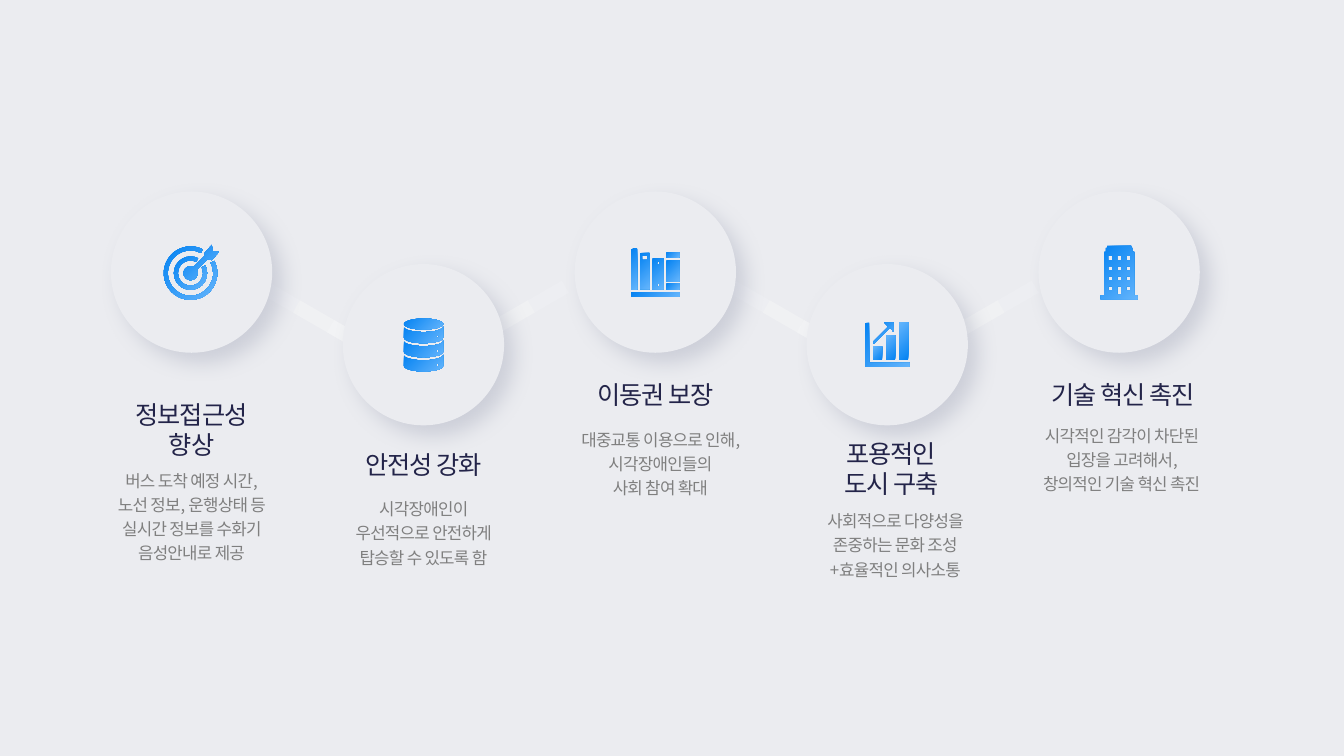
import math
import pptx
import pptx.util
import pptx.dml.color
import pptx.enum.shapes
import pptx.enum.text
import pptx.oxml
import pptx.oxml.ns

FONT = "Noto Sans CJK KR"
PALE, WHITE = "EBECF0", "F2F3F5"
DEEP, SKY = "0583F2", "64B5FC"

# Heading lines, heading box (left, top, width), wrap; body lines, body box
STEPS = [
    (["정보접근성", "향상"], (1.1, 3.96, 1.6), True,
     ["버스 도착 예정 시간,", "노선 정보, 운행상태 등 실시간 정보를 수화기 음성안내로 제공"],
     (1.1, 4.63, 1.6)),
    (["안전성 강화"], (3.57, 4.46, 1.26), False,
     ["시각장애인이 우선적으로 안전하게 탑승할 수 있도록 함"], (3.4, 4.91, 1.6)),
    (["이동권 보장"], (5.76, 3.76, 1.48), True,
     ["대중교통 이용으로 인해, 시각장애인들의", "사회 참여 확대"], (5.66, 4.22, 1.78)),
    (["포용적인", "도시 구축"], (8.33, 4.35, 1.02), False,
     ["사회적으로 다양성을 존중하는 문화 조성", "+효율적인 의사소통"], (8.14, 5.03, 1.48)),
    (["기술 혁신 촉진"], (10.36, 3.76, 1.56), False,
     ["시각적인 감각이 차단된 입장을 고려해서, 창의적인 기술 혁신 촉진"],
     (10.33, 4.18, 1.59)),
]
HEAD = dict(size=18, color="232449", track=-70, line=None)
BODY = dict(size=12, color="7F7F7F", track=-50, line=1.2)

inch = pptx.util.Inches
kinds = pptx.enum.shapes.MSO_SHAPE

deck = pptx.Presentation()
deck.slide_width, deck.slide_height = inch(13.33), inch(7.5)
slide = deck.slides.add_slide(deck.slide_layouts[6])
slide.background.fill.solid()


def rgb(code):
    return pptx.dml.color.RGBColor.from_string(code)


slide.background.fill.fore_color.rgb = rgb(PALE)


def blend(shape, first, last, angle):
    shape.shadow.inherit = False
    shape.line.fill.background()
    shape.fill.gradient()
    shape.fill.gradient_angle = angle
    for stop, code in zip(shape.fill.gradient_stops, (first, last)):
        stop.color.rgb = rgb(code)


def text(lines, box, wrap, style):
    height = len(lines) * style["size"] / 60
    shape = slide.shapes.add_textbox(*map(inch, (*box, height)))
    frame = shape.text_frame
    form = dict(word_wrap=wrap, margin_left=0, margin_right=0, margin_top=0, margin_bottom=0,
                auto_size=pptx.enum.text.MSO_AUTO_SIZE.SHAPE_TO_FIT_TEXT)
    for name, value in form.items():
        setattr(frame, name, value)
    for at, line in enumerate(lines):
        para = frame.paragraphs[0] if at == 0 else frame.add_paragraph()
        para.alignment = pptx.enum.text.PP_ALIGN.CENTER
        para.line_spacing = style["line"]
        run = para.add_run()
        run.text = line
        look = dict(size=pptx.util.Pt(style["size"]), name=FONT)
        for name, value in look.items():
            setattr(run.font, name, value)
        run.font.color.rgb = rgb(style["color"])
        props = run.font._element
        props.set("spc", str(style["track"]))
        east = props.makeelement(pptx.oxml.ns.qn("a:ea"), {"typeface": FONT})
        props.find(pptx.oxml.ns.qn("a:latin")).addnext(east)


# Icon parts, in inches: presets by edges, outlines by points
def part(kind, left, top, right, bottom, turn=0):
    shape = slide.shapes.add_shape(kind, *map(inch, (left, top, right - left, bottom - top)))
    shape.rotation = turn
    blend(shape, DEEP, SKY, 315)
    return shape


def arc(x, y, rx, ry, start, end, count=10):
    turns = [math.radians(start + (end - start) * n / count) for n in range(count + 1)]
    return [(x + rx * math.cos(t), y + ry * math.sin(t)) for t in turns]


def dot(x, y):
    return arc(x, y, 0.015, 0.015, 0, 300, 5)


def rect(left, top, right, bottom):
    return [(left, top), (right, top), (right, bottom), (left, bottom)]


def draw(*loops):
    grid = [[(x * 1000, y * 1000) for x, y in loop] for loop in loops]
    pen = slide.shapes.build_freeform(*grid[0][0], scale=914.4)
    for n, loop in enumerate(grid):
        if n:
            pen.move_to(*loop[0])
        pen.add_line_segments(loop[1:], close=True)
    blend(pen.convert_to_shape(), DEEP, SKY, 315)


# Links between neighbouring circles
for n in (3, 1, 2, 0):
    link = slide.shapes.add_shape(kinds.ROUNDED_RECTANGLE, inch(2.22 + 2.33 * n), inch(2.97),
                                  inch(1.44), inch(0.14))
    blend(link, PALE, WHITE, 0)
    link.rotation = 330 if n % 2 else 30
    if n % 2:
        link._element.spPr.xfrm.set("flipH", "1")

# Circles with a soft shadow
SHADE = ('<a:outerShdw %s blurRad="190500" dist="127000" dir="2700000" algn="tl" '
         'rotWithShape="0"><a:srgbClr val="ACB0C0"><a:alpha val="47000"/></a:srgbClr>'
         '</a:outerShdw>' % pptx.oxml.ns.nsdecls("a"))
for n in range(len(STEPS)):
    disc = slide.shapes.add_shape(kinds.OVAL, inch(1.1 + 2.3 * n), inch(1.9 + 0.72 * (n % 2)),
                                  inch(1.6), inch(1.6))
    disc.fill.solid()
    disc.fill.fore_color.rgb = rgb(PALE)
    disc.line.fill.background()
    disc.shadow.inherit = False
    glow = disc._element.spPr.find(pptx.oxml.ns.qn("a:effectLst"))
    glow.append(pptx.oxml.parse_xml(SHADE))

for head, spot, wrap, body, place in STEPS:
    text(head, spot, wrap, HEAD)
    text(body, place, True, BODY)

# Target: dart with hub, then two open rings
X, Y = 1.89, 2.71
draw([(2.11, 2.49), (2.1, 2.43), (2.03, 2.51), (2.03, 2.54)]
     + arc(X, Y, 0.07, 0.07, 297, -27, 16)
     + [(2.06, 2.57), (2.1, 2.58), (2.17, 2.5)])
for far in (0.265, 0.165):
    ring = part(kinds.BLOCK_ARC, X - far, Y - far, X + far, Y + far)
    # Angles are stored in 60000ths of a degree, adjustments in 100000ths
    for n, value in enumerate((333 * 0.6, 297 * 0.6, 0.02 / far)):
        ring.adjustments[n] = value

# Database: lid and three drums
MID, WIDE, TALL = 4.2, 0.195, 0.055
part(kinds.OVAL, MID - WIDE, 3.16, MID + WIDE, 3.27)
for n in range(3):
    top = 3.24 + 0.14 * n
    draw(arc(MID, top, WIDE, TALL, 180, 0) + arc(MID, top + 0.11, WIDE, TALL, 0, 180),
         dot(4.34, top + 0.1))

# Books on a shelf
for box in ((6.26, 2.9, 6.74, 2.94), (6.26, 2.47, 6.32, 2.87), (6.61, 2.81, 6.74, 2.87),
            (6.61, 2.58, 6.74, 2.79), (6.61, 2.5, 6.74, 2.55)):
    part(kinds.RECTANGLE, *box)
draw(rect(6.47, 2.56, 6.58, 2.87), dot(6.53, 2.61), dot(6.53, 2.83))
draw(rect(6.35, 2.51, 6.44, 2.87), rect(6.37, 2.54, 6.42, 2.58))

# Growth chart: axes, bars, arrow
draw([(8.62, 3.2), (8.58, 3.2), (8.58, 3.64), (9.02, 3.64), (9.02, 3.6), (8.62, 3.6)])
for left, top in ((8.92, 3.2), (8.79, 3.33), (8.66, 3.44)):
    part(kinds.RECTANGLE, left, top, left + 0.09, 3.57, 180)
draw([(8.86, 3.29), (8.86, 3.2), (8.77, 3.2), (8.81, 3.24), (8.66, 3.39), (8.67, 3.41),
      (8.83, 3.25)])

# Building: mirrored outline, windows and door
HALF = [(0.12, 2.44), (0.12, 2.46), (0.13, 2.46), (0.13, 2.5), (0.15, 2.5), (0.15, 2.93),
        (0.18, 2.93), (0.18, 2.97)]
AXIS = 11.1
wall = [(AXIS + x, y) for x, y in HALF] + [(AXIS - x, y) for x, y in HALF[::-1]]
panes = []
for col in range(3):
    for row in range(4):
        left, top = 10.99 + 0.09 * col, 2.54 + 0.1 * row
        tall = 0.08 if (col, row) == (1, 3) else 0.04
        panes.append(rect(left, top, left + 0.04, top + tall))
draw(wall, *panes)

deck.save("out.pptx")
